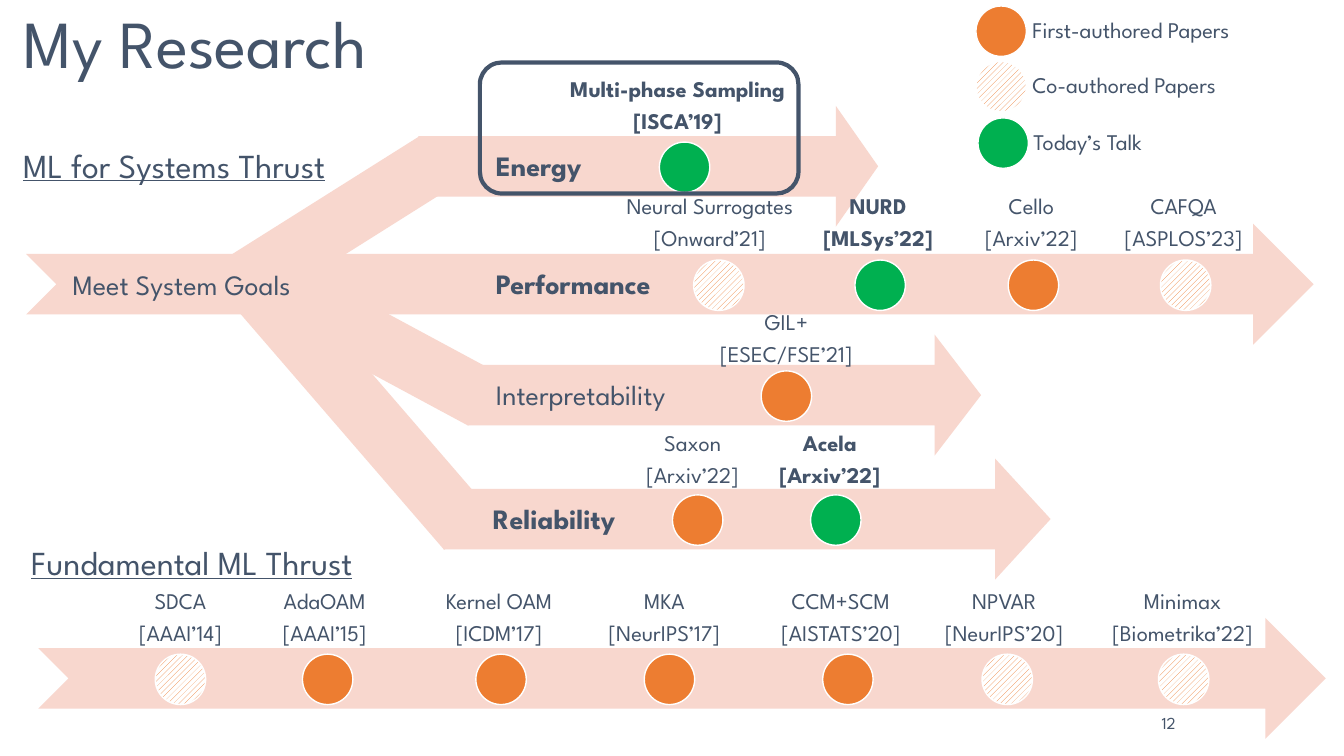
from pptx import Presentation
from pptx.dml.color import RGBColor
from pptx.enum.dml import MSO_PATTERN
from pptx.enum.shapes import MSO_SHAPE as Shape
from pptx.enum.text import MSO_ANCHOR as Anchor, PP_ALIGN as Align
from pptx.util import Inches, Pt

FONT = "League Spartan"
COLORS = {"text": "44546A", "arrow": "F8D7CE", "first": "ED7D31",
          "talk": "00B050", "white": "FFFFFF"}
MARKER = 0.5
SHAFT_INSET = 0.3
ARROW_HEIGHT = 1.2

# Theme, bold, arrow box (left, top, width), head length, label offset, papers.
# Paper: name, venue, kind, label centre, marker left, label width.
BRANCHES = [
    ("Energy", True, (4.15, 1.05, 4.56), 0.42, -0.31, [
        ("Multi-phase Sampling", "[ISCA’19]", "talk", 6.72, 6.54, 2.88)]),
    ("Performance", True, (0.26, 2.22, 12.77), None, -0.32, [
        ("Neural Surrogates", "[Onward’21]", "co", 7.04, 6.88, 2.51),
        ("NURD", "[MLSys’22]", "talk", 8.71, 8.48, 1.74),
        ("Cello", "[Arxiv’22]", "first", 10.23, 10, 1.74),
        ("CAFQA", "[ASPLOS’23]", "co", 11.74, 11.51, 1.74)]),
    ("Interpretability", False, (4.64, 3.32, 5.09), 0.46, -0.26, [
        ("GIL+", "[ESEC/FSE’21]", "first", 7.8, 7.55, 1.94)]),
    ("Reliability", True, (4.4, 4.55, 6.02), 0.55, -0.29, [
        ("Saxon", "[Arxiv’22]", "first", 6.87, 6.67, 1.94),
        ("Acela", "[Arxiv’22]", "talk", 8.23, 8.04, 1.94)]),
]
# Left, top, width and rotation of the bars that join the branches
JOINTS = [(2.19, 1.92, 2.31, 327.8), (2.21, 3.01, 2.74, 28.3),
          (1.97, 3.74, 3.22, 49.2)]
FUNDAMENTAL_PAPERS = [
    ("SDCA", "[AAAI’14]", "co", 1.79, 1.54, 1.94),
    ("AdaOAM", "[AAAI’15]", "first", 3.22, 3, 1.94),
    ("Kernel OAM", "[ICDM’17]", "first", 4.95, 4.72, 1.94),
    ("MKA", "[NeurIPS’17]", "first", 6.59, 6.39, 1.94),
    ("CCM+SCM", "[AISTATS’20]", "first", 8.34, 8.16, 1.94),
    ("NPVAR", "[NeurIPS’20]", "co", 9.96, 9.74, 1.94),
    ("Minimax", "[Biometrika’22]", "co", 11.73, 11.49, 1.94),
]
LEGEND = [("First-authored Papers", "first", 0, 0),
          ("Co-authored Papers", "co", 0, 0.55),
          ("Today’s Talk", "talk", 0.02, 1.11)]


def rgb(name):
    return RGBColor.from_string(COLORS[name])


def add_text(slide, box, lines, size, bold=False, underline=False,
             align=Align.LEFT, anchor=Anchor.MIDDLE, inset=0.16, after=0.35):
    """Place lines as paragraphs; after is the paragraph gap in font sizes."""
    frame = slide.shapes.add_textbox(*map(Inches, box)).text_frame
    frame.word_wrap = True
    frame.vertical_anchor = anchor
    frame.margin_left = frame.margin_right = Inches(inset)
    frame.margin_top = frame.margin_bottom = Inches(inset)
    frame.text = "\n".join(lines)
    for paragraph in frame.paragraphs:
        paragraph.alignment = align
        paragraph.line_spacing = 0.9
        paragraph.space_after = Pt(size * after)
        font = paragraph.runs[0].font
        font.name, font.size, font.bold = FONT, Pt(size), bold
        font.underline = underline
        font.color.rgb = rgb("text")


def paint_arrow(part):
    part.shadow.inherit = False
    part.fill.solid()
    part.fill.fore_color.rgb = rgb("arrow")
    part.line.fill.background()


def add_bar(slide, kind, box, rotation=0):
    bar = slide.shapes.add_shape(kind, *map(Inches, box))
    bar.rotation = rotation
    paint_arrow(bar)


def add_branch_arrow(slide, left, top, width, head):
    tip, neck = left + width, left + width - head
    upper, middle = top + SHAFT_INSET, top + ARROW_HEIGHT / 2
    bottom = top + ARROW_HEIGHT
    lower = bottom - SHAFT_INSET
    outline = [(neck, upper), (neck, top), (tip, middle), (neck, bottom),
               (neck, lower), (left, lower), (left + 0.03, middle)]
    builder = slide.shapes.build_freeform(Inches(left), Inches(upper), scale=1.0)
    builder.add_line_segments([(Inches(x), Inches(y)) for x, y in outline])
    paint_arrow(builder.convert_to_shape())


def add_marker(slide, kind, left, top):
    marker = slide.shapes.add_shape(Shape.OVAL, Inches(left), Inches(top),
                                    Inches(MARKER), Inches(MARKER))
    marker.shadow.inherit = False
    if kind == "co":
        marker.fill.patterned()
        marker.fill.pattern = MSO_PATTERN.WIDE_UPWARD_DIAGONAL
        marker.fill.fore_color.rgb = rgb("first")
        marker.fill.back_color.rgb = rgb("white")
    else:
        marker.fill.solid()
        marker.fill.fore_color.rgb = rgb(kind)
    marker.line.color.rgb = rgb("white")
    marker.line.width = Pt(1)


def add_papers(slide, arrow_top, label_offset, papers):
    """Label each paper above the arrow and mark it on the shaft."""
    for name, venue, kind, center, marker_left, width in papers:
        box = (center - width / 2, arrow_top + label_offset, width, 0.62)
        add_text(slide, box, [name, venue], 16, bold=kind == "talk",
                 align=Align.CENTER)
        add_marker(slide, kind, marker_left, arrow_top + 0.36)


def add_systems_thrust(slide):
    for _, _, (left, top, width), head, _, _ in BRANCHES:
        if head:
            add_branch_arrow(slide, left, top, width, head)
        else:
            add_bar(slide, Shape.NOTCHED_RIGHT_ARROW,
                    (left, top, width, ARROW_HEIGHT))
    for left, top, width, rotation in JOINTS:
        add_bar(slide, Shape.RECTANGLE, (left, top, width, 0.6), rotation)
    for theme, bold, (_, top, _), _, label_offset, papers in BRANCHES:
        theme_left = 4.73 if theme == "Reliability" else 4.76
        add_text(slide, (theme_left, top + 0.38, 2.4, 0.47), [theme], 20, bold)
        add_papers(slide, top, label_offset, papers)
    add_text(slide, (0.56, 2.61, 3.07, 0.47), ["Meet System Goals"], 20)
    add_text(slide, (0.07, 1.43, 4, 0.47), ["ML for Systems Thrust"], 24,
             underline=True)
    focus = slide.shapes.add_shape(Shape.ROUNDED_RECTANGLE, Inches(4.76),
                                   Inches(0.62), Inches(3.16), Inches(1.3))
    focus.shadow.inherit = False
    focus.fill.background()
    focus.line.color.rgb = rgb("text")
    focus.line.width = Pt(3)


def add_fundamental_thrust(slide, left, top, width):
    add_text(slide, (left - 0.23, top - 0.76, 4.27, 0.47),
             ["Fundamental ML Thrust"], 24, underline=True)
    add_bar(slide, Shape.NOTCHED_RIGHT_ARROW, (left, top, width, ARROW_HEIGHT))
    add_papers(slide, top, -0.31, FUNDAMENTAL_PAPERS)


def add_legend(slide, left, top):
    for meaning, kind, dx, dy in LEGEND:
        add_marker(slide, kind, left + dx, top + dy)
        add_text(slide, (left + 0.4 + dx / 2, top + dy - 0.06, 2.65, 0.62),
                 [meaning], 16)


def main():
    deck = Presentation()
    deck.slide_width, deck.slide_height = Inches(13.33), Inches(7.5)
    slide = deck.slides.add_slide(deck.slide_layouts[6])
    add_text(slide, (0.15, 0.15, 9, 0.75), ["My Research"], 48,
             anchor=Anchor.BOTTOM, inset=0.08, after=0.12)
    add_systems_thrust(slide)
    add_fundamental_thrust(slide, 0.38, 6.13, 12.77)
    add_legend(slide, 9.68, 0.06)
    add_text(slide, (8.76, 6.98, 3, 0.4), ["12"], 12, align=Align.RIGHT,
             inset=0.1, after=0)
    deck.save("out.pptx")


if __name__ == "__main__":
    main()
